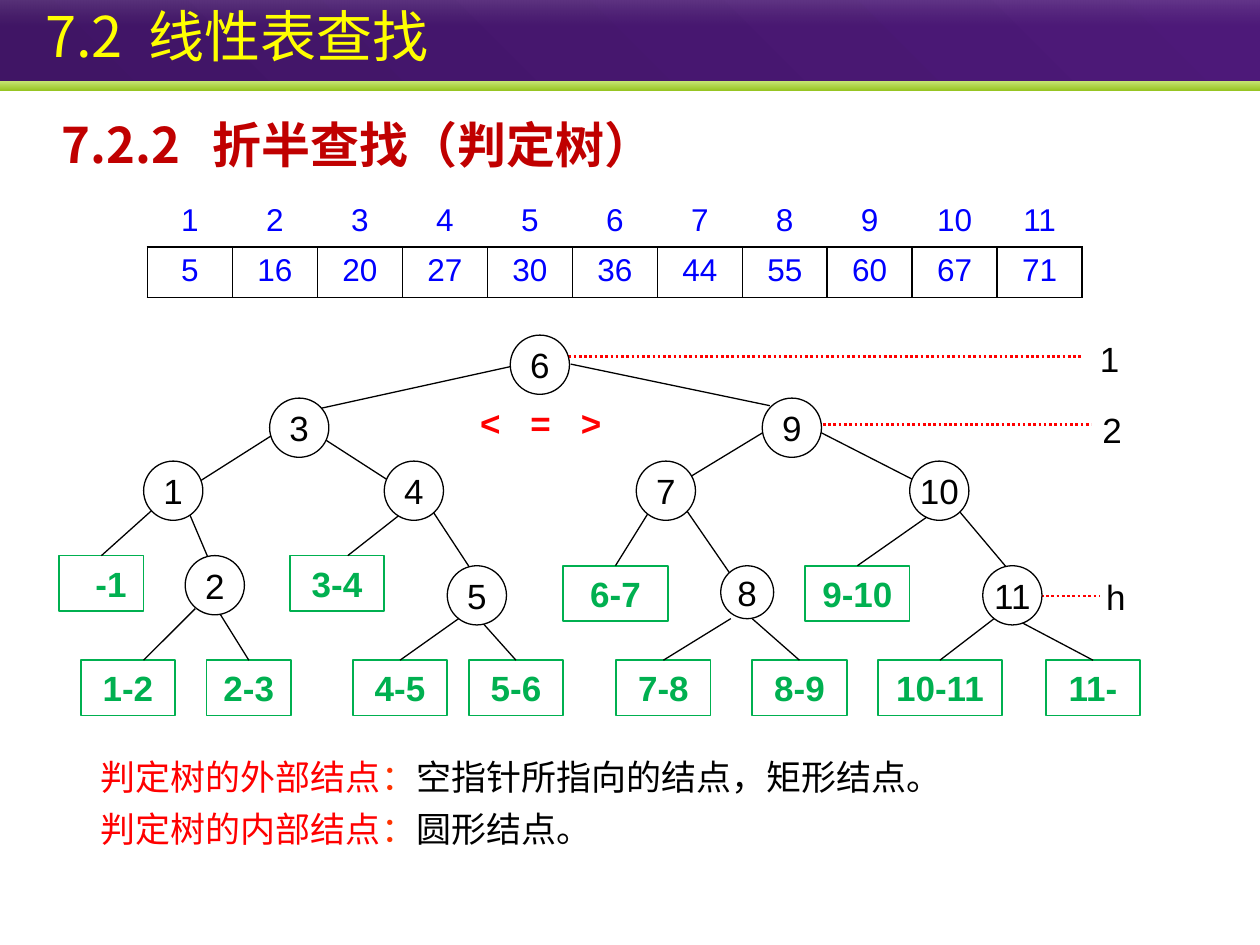
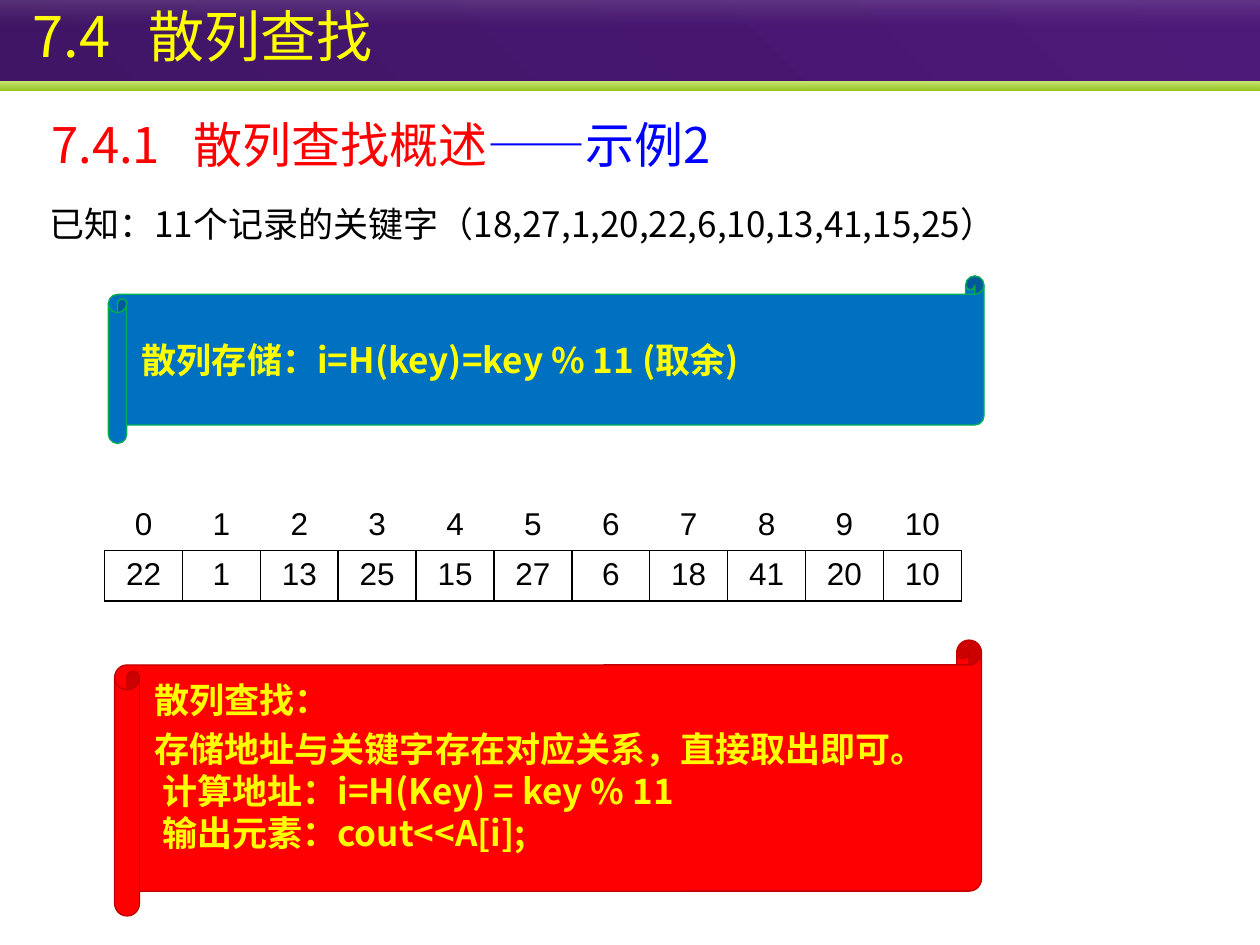
from lxml.etree import SubElement as Sub
from pptx import Presentation
from pptx.dml.color import RGBColor
from pptx.enum.dml import MSO_LINE as Dash
from pptx.enum.shapes import MSO_CONNECTOR as Link, MSO_SHAPE as Form
from pptx.enum.text import MSO_ANCHOR as Anchor, PP_ALIGN as Align
from pptx.oxml.ns import qn
from pptx.util import Pt

UNIT = 914400
COLS, ROWS = 10, 7.5
SANS, HAN = "Arial", "Noto Sans CJK SC"
BLACK, WHITE, RED, BLUE = "000000", "FFFFFF", "FF0000", "0000FF"
GREEN, GOLD, WINE, RUST = "00B050", "FFFF00", "C00000", "FF3300"
BARE = "{2D5ABB26-0587-4C30-8999-92F81FD0307C}"
SIDE = 0.47

LEAVES = {
    "-1": (0.47, 4.41, 0.67), "3-4": (2.3, 4.41, 0.75),
    "6-7": (4.47, 4.49, 0.83), "9-10": (6.39, 4.49, 0.83),
    "1-2": (0.64, 5.24, 0.75), "2-3": (1.64, 5.24, 0.67),
    "4-5": (2.8, 5.24, 0.75), "5-6": (3.72, 5.24, 0.75),
    "7-8": (4.89, 5.24, 0.75), "8-9": (5.97, 5.24, 0.75),
    "10-11": (6.97, 5.24, 0.98), "11-": (8.3, 5.24, 0.75),
}
NODES = {
    "6": (4.05, 2.66), "3": (2.14, 3.16), "9": (6.05, 3.16),
    "1": (1.14, 3.66), "4": (3.05, 3.66), "7": (5.05, 3.66),
    "10": (7.22, 3.66), "2": (1.47, 4.41), "5": (3.55, 4.49),
    "8": (5.72, 4.49, 0.42), "11": (7.8, 4.49),
}
TWIGS = [
    (4.05, 2.91, 2.55, 3.24), (4.53, 2.89, 6.11, 3.22),
    (2.23, 3.41, 1.49, 3.88), (2.55, 3.47, 3.14, 3.85),
    (6.11, 3.4, 5.32, 3.88), (6.47, 3.41, 7.39, 3.88),
    (1.5, 4.07, 1.67, 4.47), (3.39, 3.99, 3.81, 4.63),
    (5.4, 3.98, 5.82, 4.59), (7.59, 4.03, 8.02, 4.54),
]
STEMS = {
    "-1": (1.24, 4.02, 0.83), "3-4": (3.18, 4.08, 2.76),
    "6-7": (5.14, 4.08, 4.89), "9-10": (7.39, 4.08, 6.8),
    "1-2": (1.55, 4.83, 1.14), "2-3": (1.72, 4.83, 1.97),
    "4-5": (3.64, 4.91, 3.14), "5-6": (3.8, 4.91, 4.14),
    "7-8": (5.8, 4.91, 5.22), "8-9": (5.97, 4.91, 6.39),
    "10-11": (7.89, 4.91, 7.47), "11-": (8.05, 4.91, 8.72),
}
LEVELS = [
    ("1", 4.47, 8.6, 2.83, (8.73, 2.68)),
    ("2", 6.49, 8.66, 3.37, (8.75, 3.24)),
    ("h", 8.22, 8.73, 4.73, (8.78, 4.57)),
]


def at(*spots):
    """Turn grid columns and rows into slide lengths."""
    return [round(spot * UNIT) for spot in spots]


def tint(code):
    """Turn a hex string into a colour."""
    return RGBColor.from_string(code)


def write(frame, paras, size=20, color=BLACK, face=SANS, bold=False,
          align=Align.LEFT, gap=0, tabs=(), pad=(0.1, 0.05), anchor=Anchor.TOP):
    """Fill a text frame; a paragraph is a string or a list of coloured parts."""
    frame.word_wrap, frame.vertical_anchor = True, anchor
    frame.margin_left, frame.margin_top = at(*pad)
    frame.margin_bottom = frame.margin_top
    frame.margin_right = min(frame.margin_left, at(0.1)[0])
    for i, parts in enumerate(paras):
        para = frame.add_paragraph() if i else frame.paragraphs[0]
        props = para._p.get_or_add_pPr()
        if tabs:
            stops = Sub(props, qn("a:tabLst"))
            for stop in tabs:
                Sub(stops, qn("a:tab"), pos=str(at(stop)[0]), algn="l")
        para.alignment = align
        if i and gap:
            para.space_before = Pt(gap)
        font = para.font
        font.size, font.bold, font.name = Pt(size), bold, face
        font.color.rgb = tint(color)
        Sub(props.find(qn("a:defRPr")), qn("a:ea"), typeface=face)
        for text, hue in [(parts, None)] if isinstance(parts, str) else parts:
            run = para.add_run()
            run.text = text
            if hue:
                run.font.color.rgb = tint(hue)


def label(slide, spot, paras, **look):
    """Add a text box."""
    write(slide.shapes.add_textbox(*at(*spot)).text_frame, paras, **look)


def block(slide, form, spot, fill, edge, weight=0.75):
    """Add a filled and outlined preset shape."""
    shape = slide.shapes.add_shape(form, *at(*spot))
    shape.shadow.inherit = False
    shape.fill.solid()
    shape.fill.fore_color.rgb = tint(fill)
    shape.line.color.rgb = tint(edge)
    shape.line.width = Pt(weight)
    return shape


def link(slide, ends, color=BLACK, weight=0.75):
    """Add a straight line."""
    line = slide.shapes.add_connector(Link.STRAIGHT, *at(*ends))
    line.line.color.rgb = tint(color)
    line.line.width = Pt(weight)
    Sub(line._element.spPr, qn("a:effectLst"))
    return line


def band(slide, layout, place, top, high, stops, angle):
    """Place a gradient band behind everything on the layout."""
    shape = slide.shapes.add_shape(Form.RECTANGLE, *at(0, top, COLS, high))
    shape.shadow.inherit = False
    shape.line.fill.background()
    shape.fill.gradient()
    shape.fill.gradient_angle = angle
    marks = shape._element.spPr.iter(qn("a:gs"))
    for stop, mark, (hue, alpha) in zip(shape.fill.gradient_stops, marks, stops):
        stop.color.rgb = tint(hue)
        if alpha < 100:
            Sub(mark[0], qn("a:alpha"), val=str(alpha * 1000))
    for i, stop in enumerate(shape.fill.gradient_stops):
        stop.position = i
    layout.shapes.element.insert(2 + place, shape._element)


def dress(slide, layout):
    """Give the layout its bands and title place."""
    bands = [
        (0, 0.64, [("401565", 100), ("4D1979", 100)], 45),
        (0.64, 0.08, [("C9E576", 100), ("97C523", 100)], 270),
        (0, 0.2, [(WHITE, 13), ("B6B6B6", 0)], 270),
    ]
    for place, parts in enumerate(bands):
        band(slide, layout, place, *parts)
    title = layout.placeholders[0]
    title.left, title.top, title.width, title.height = at(0.06, -0.08, 9.9, 0.71)


def head(slide, title, pad, tab):
    """Write the slide title."""
    write(slide.shapes.title.text_frame, [title], 32, GOLD, HAN,
          tabs=[tab], pad=(pad, 0.05), anchor=Anchor.MIDDLE)


def topic(slide, left, parts, tab, **look):
    """Write the section heading under the title."""
    label(slide, (left, 0.86, 6.72, 0.57), [parts], size=28, face=HAN,
          tabs=[tab], **look)


def frame(cell):
    """Draw black borders around a cell."""
    props = cell._tc.get_or_add_tcPr()
    for i, side in enumerate("LRTB"):
        line = props.makeelement(qn("a:ln" + side), {"w": str(Pt(1))})
        Sub(Sub(line, qn("a:solidFill")), qn("a:srgbClr"), val=BLACK)
        props.insert(i, line)


def array(slide, spot, first, keys, color):
    """Add a table of indexes above boxed keys."""
    rows = [range(first, first + len(keys)), keys]
    table = slide.shapes.add_table(2, len(keys), *at(*spot)).table
    table.first_row = table.horz_banding = False
    table._tbl.tblPr.find(qn("a:tableStyleId")).text = BARE
    for r, row in enumerate(rows):
        for c, key in enumerate(row):
            cell = table.cell(r, c)
            cell.fill.background()
            write(cell.text_frame, [str(key)], 18, color, align=Align.CENTER)
            if r:
                frame(cell)


def tree(slide):
    """Draw the decision tree with its levels."""
    for name, (left, top, wide) in LEAVES.items():
        leaf = block(slide, Form.RECTANGLE, (left, top, wide, 0.44), WHITE, GREEN, 1)
        write(leaf.text_frame, [name], color=GREEN, bold=True, align=Align.CENTER,
              pad=(0.25 if name == "-1" else 0.05, 0.05), anchor=Anchor.MIDDLE)
        x, y, end = STEMS[name]
        stem = link(slide, (x, y, end, top))
        if abs(end - left - wide / 2) < 0.05:
            stem.end_connect(leaf, 0)
    for ends in TWIGS:
        link(slide, ends)
    for name, start, end, y, spot in LEVELS:
        link(slide, (start, y, end, y), RED, 1.5).line.dash_style = Dash.ROUND_DOT
        label(slide, (*spot, 0.2, 0.2), [name], pad=(0, 0))
    label(slide, (3.81, 3.19, 1.09, 0.34), ["<\t=\t>"], color=RED, bold=True,
          tabs=[0.4, 0.8], pad=(0, 0))
    for name, (left, top, *size) in NODES.items():
        side = size[0] if size else SIDE
        node = block(slide, Form.OVAL, (left, top, side, side), WHITE, BLACK)
        write(node.text_frame, [name], align=Align.CENTER, pad=(0, 0),
              anchor=Anchor.MIDDLE)
        node.text_frame.word_wrap = False


def scroll(slide, spot, bend, fill, edge, paras, anchor):
    """Add a scroll with bold yellow text."""
    shape = block(slide, Form.HORIZONTAL_SCROLL, spot, fill, edge)
    shape.adjustments[0] = bend
    write(shape.text_frame, paras, color=GOLD, face=HAN, bold=True,
          pad=(0.12, 0.05), anchor=anchor)
    return shape.text_frame.paragraphs


def halving(slide):
    """Build the slide on binary search."""
    head(slide, "7.2\t线性表查找", 0.3, 0.82)
    topic(slide, 0.39, "7.2.2\t折半查找（判定树）", 1.2, color=WINE, bold=True)
    array(slide, (1.17, 1.56, 7.42, 0.8), 1,
          [5, 16, 20, 27, 30, 36, 44, 55, 60, 67, 71], BLUE)
    tree(slide)
    notes = [("外部", "空指针所指向的结点，矩形结点。"), ("内部", "圆形结点。")]
    label(slide, (0.7, 5.95, 8.6, 0.94),
          [[(f"判定树的{kind}结点", RED), ("：", RUST), (text, BLACK)]
           for kind, text in notes], face=HAN, gap=5.5)


def hashing(slide):
    """Build the slide on hash search."""
    head(slide, "7.4\t散列查找", 0.2, 0.92)
    topic(slide, 0.31, [("7.4.1\t散列查找概述", RED), ("——示例2", BLUE)], 1.13)
    label(slide, (0.39, 1.56, 8.05, 0.47),
          ["已知：11个记录的关键字（18,27,1,20,22,6,10,13,41,15,25）"],
          face=HAN, pad=(0, 0.05))
    array(slide, (0.83, 3.97, 6.8, 0.8), 0,
          [22, 1, 13, 25, 15, 27, 6, 18, 41, 20, 10], BLACK)
    scroll(slide, (0.86, 2.19, 6.95, 1.33), 0.11, "0070C0", GREEN,
           ["散列存储：i=H(key)=key % 11 (取余)"], Anchor.MIDDLE)
    lines = scroll(slide, (0.91, 5.08, 6.88, 2.19), 0.09, RED, WINE,
                   ["散列查找：", "存储地址与关键字存在对应关系，直接取出即可。",
                    "计算地址：i=H(Key) = key % 11", "输出元素：cout<<A[i];"],
                   Anchor.TOP)
    for line in lines[:2]:
        line.line_spacing = Pt(28)
    for line in lines[2:]:
        line._p.pPr.set("marL", str(at(0.06)[0]))


def main():
    """Build and save the deck."""
    deck = Presentation()
    deck.slide_width, deck.slide_height = at(COLS, ROWS)
    layout = deck.slide_layouts[5]
    pages = [deck.slides.add_slide(layout) for _ in range(2)]
    dress(pages[0], layout)
    halving(pages[0])
    hashing(pages[1])
    deck.save("out.pptx")


if __name__ == "__main__":
    main()
